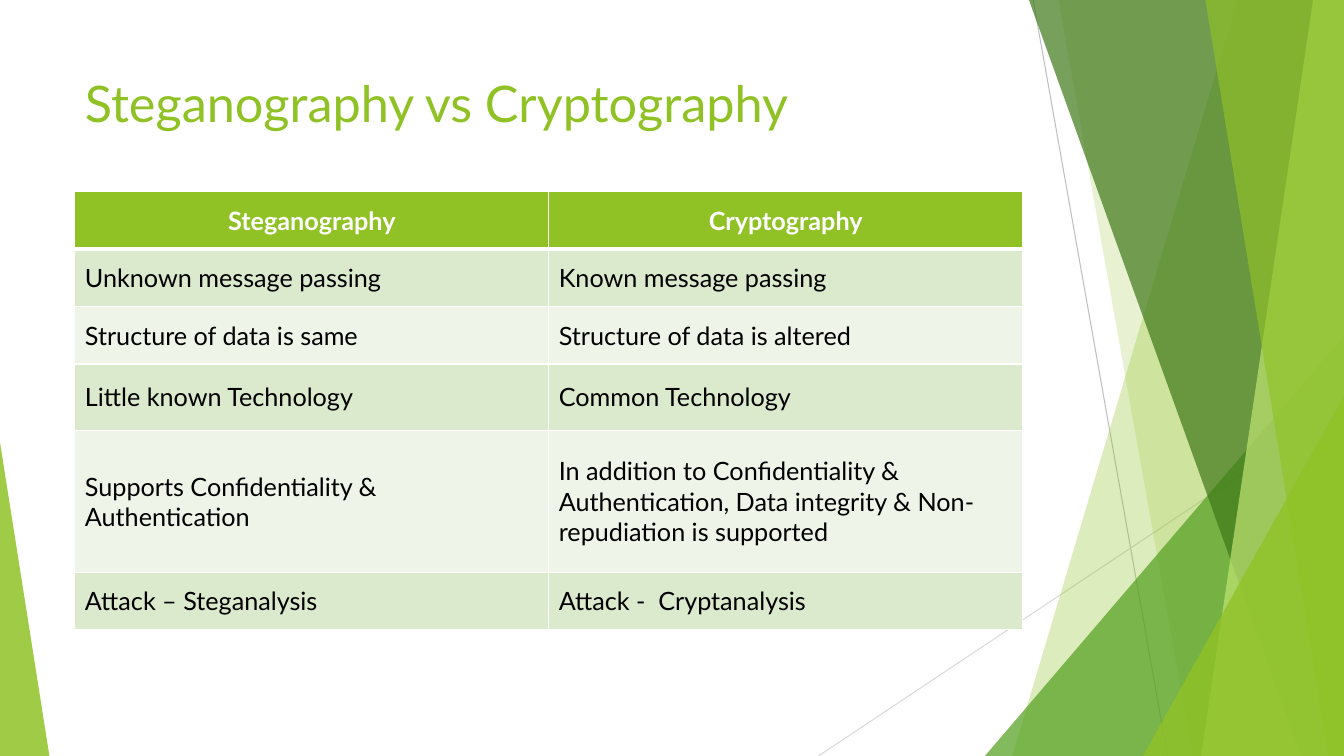
import pptx
import pptx.dml.color
import pptx.enum.shapes
import pptx.enum.text
import pptx.oxml
import pptx.oxml.ns
import pptx.util

Pt = pptx.util.Pt
RGBColor = pptx.dml.color.RGBColor
Shapes = pptx.enum.shapes.MSO_SHAPE

LIME = RGBColor(0x90, 0xC2, 0x26)
PALE_LIME = RGBColor(0xC0, 0xE4, 0x74)
GREEN = RGBColor(0x54, 0xA0, 0x21)
DARK_GREEN = RGBColor(0x3F, 0x78, 0x19)
BAND_DARK = RGBColor(0xDB, 0xE9, 0xCD)
BAND_LIGHT = RGBColor(0xEE, 0xF4, 0xE8)
GRAY = RGBColor(0xBF, 0xBF, 0xBF)
LIGHT_GRAY = RGBColor(0xD9, 0xD9, 0xD9)
WHITE = RGBColor(0xFF, 0xFF, 0xFF)
BLACK = RGBColor(0, 0, 0)
FONT = "Lato"
PAGE_WIDTH, PAGE_HEIGHT = 960, 540

COMPARISON = [
    ("Steganography", "Cryptography"),
    ("Unknown message passing", "Known message passing"),
    ("Structure of data is same", "Structure of data is altered"),
    ("Little known Technology", "Common Technology"),
    ("Supports Confidentiality & Authentication",
     "In addition to Confidentiality & Authentication, "
     "Data integrity & Non-repudiation is supported"),
    ("Attack – Steganalysis", "Attack -  Cryptanalysis"),
]
ROW_HEIGHTS = [41, 41, 41, 47.5, 101.5, 41]


def add_xml(parent, tag, content="", attributes=""):
    namespace = pptx.oxml.ns.nsdecls("a")
    parent.append(pptx.oxml.parse_xml(
        f"<a:{tag} {namespace} {attributes}>{content}</a:{tag}>"))


def paint(shape, color, opacity):
    shape.shadow.inherit = False
    shape.line.fill.background()
    shape.fill.solid()
    shape.fill.fore_color.rgb = color
    color_node = shape.fill._xPr.find(".//" + pptx.oxml.ns.qn("a:srgbClr"))
    add_xml(color_node, "alpha", attributes=f'val="{opacity * 1000}"')


def style(paragraph, size, color, bold=False):
    paragraph.font.name = FONT
    paragraph.font.size = Pt(size)
    paragraph.font.color.rgb = color
    paragraph.font.bold = bold


def add_backdrop(page, left, top, width, height):
    right, bottom = left + width, top + height

    def thin_line(start_x, start_y, end_x, end_y, color):
        line = page.shapes.add_connector(
            pptx.enum.shapes.MSO_CONNECTOR.STRAIGHT,
            Pt(left + start_x), Pt(top + start_y), Pt(left + end_x), Pt(top + end_y))
        line.line.color.rgb = color
        line.line.width = Pt(0.75)
        add_xml(line._element.spPr, "effectLst")

    def facet(top_x, bottom_x, color, opacity):
        """Fill the area from a slanted edge to the right side."""
        builder = page.shapes.build_freeform(Pt(left + top_x), Pt(top))
        builder.add_line_segments([
            (Pt(right), Pt(top)), (Pt(right), Pt(bottom)),
            (Pt(left + bottom_x), Pt(bottom))])
        paint(builder.convert_to_shape(), color, opacity)

    def corner(x, base, rise, apex, color, opacity):
        """Right triangle on the bottom edge; apex 0 is left, 1 is right."""
        triangle = page.shapes.add_shape(
            Shapes.ISOSCELES_TRIANGLE, Pt(x), Pt(bottom - rise), Pt(base), Pt(rise))
        triangle.adjustments[0] = apex
        paint(triangle, color, opacity)

    thin_line(738, 0, 834, height, GRAY)
    thin_line(width, 290, 584.6, height, LIGHT_GRAY)
    facet(884, 723, LIME, 30)
    facet(756, 852, LIME, 20)
    corner(right - 256.5, 256.5, 300, 1, GREEN, 72)
    facet(735, 929.5, DARK_GREEN, 70)
    facet(938, 858, PALE_LIME, 70)
    facet(861, 949, LIME, 65)
    corner(right - 143.5, 143.5, 257, 1, LIME, 80)
    corner(left, 35.3, 224, 0, LIME, 85)


def add_title(page, left, top, width, height):
    box = page.shapes.add_textbox(Pt(left), Pt(top), Pt(width), Pt(height))
    box.text_frame.word_wrap = True
    paragraph = box.text_frame.paragraphs[0]
    paragraph.text = "Steganography vs Cryptography"
    style(paragraph, 36, LIME)


def add_borders(cell, row_index):
    thickness = {"lnL": 1, "lnR": 1,
                 "lnT": 3 if row_index == 1 else 1,
                 "lnB": 3 if row_index == 0 else 1}
    for side, points in thickness.items():
        add_xml(cell._tc.get_or_add_tcPr(), side,
                f'<a:solidFill><a:srgbClr val="{WHITE}"/></a:solidFill>',
                f'w="{Pt(points)}"')


def add_comparison(page, left, top, width, height):
    columns = len(COMPARISON[0])
    table = page.shapes.add_table(
        len(COMPARISON), columns, Pt(left), Pt(top), Pt(width), Pt(height)).table
    for column in table.columns:
        column.width = Pt(width / columns)
    for row_index, texts in enumerate(COMPARISON):
        table.rows[row_index].height = Pt(height * ROW_HEIGHTS[row_index] / sum(ROW_HEIGHTS))
        header = row_index == 0
        band = BAND_DARK if row_index % 2 else BAND_LIGHT
        for column_index, text in enumerate(texts):
            cell = table.cell(row_index, column_index)
            add_borders(cell, row_index)
            cell.fill.solid()
            cell.fill.fore_color.rgb = LIME if header else band
            cell.vertical_anchor = pptx.enum.text.MSO_ANCHOR.MIDDLE
            paragraph = cell.text_frame.paragraphs[0]
            paragraph.text = text
            style(paragraph, 18, WHITE if header else BLACK, header)
            if header:
                paragraph.alignment = pptx.enum.text.PP_ALIGN.CENTER


deck = pptx.Presentation()
deck.slide_width, deck.slide_height = Pt(PAGE_WIDTH), Pt(PAGE_HEIGHT)
page = deck.slides.add_slide(deck.slide_layouts[6])

# Backdrop, then title and table on a shared left edge
add_backdrop(page, 0, 0, PAGE_WIDTH, PAGE_HEIGHT)
add_title(page, 53.5, 48, 677, 104)
add_comparison(page, 53.5, 137, 677, sum(ROW_HEIGHTS))

deck.save("out.pptx")
